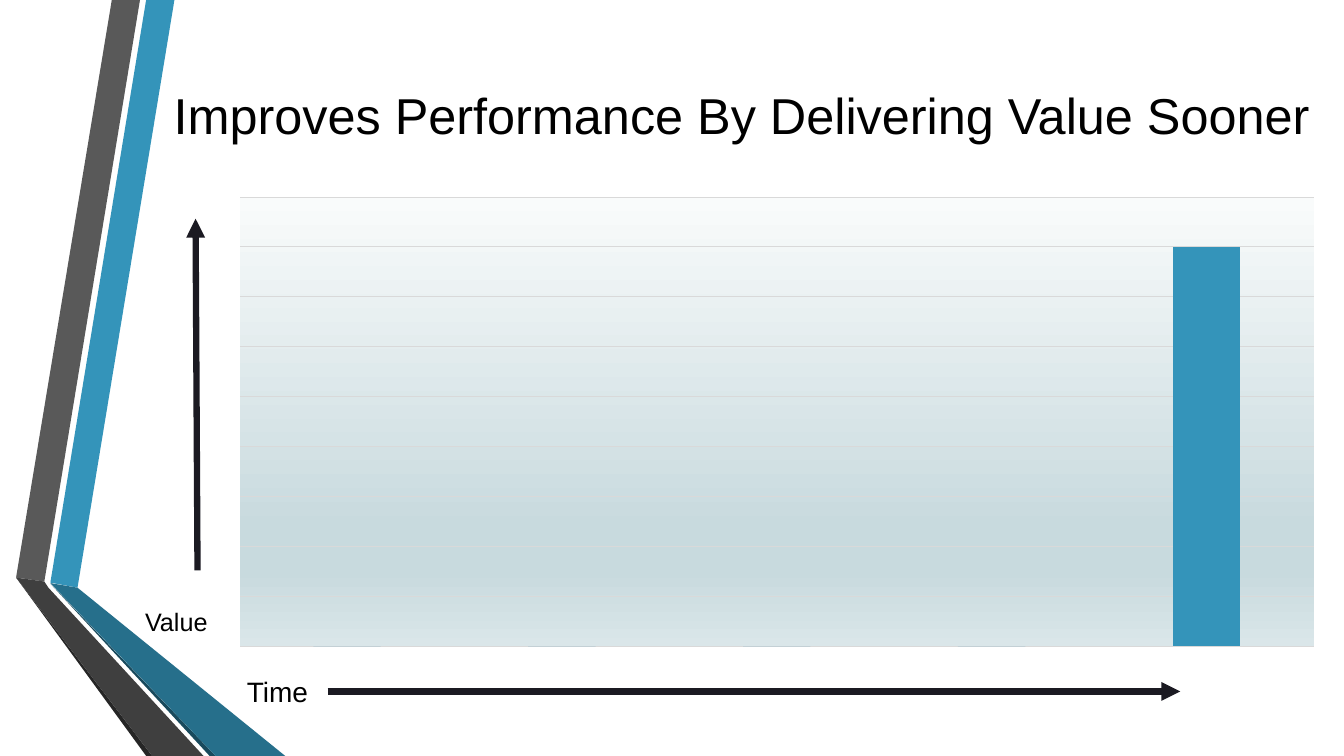
"""Build a slide showing value delivered over time as a column chart."""
from lxml import etree
from pptx import Presentation
from pptx import util as u
from pptx.chart import data
from pptx.dml.color import RGBColor
from pptx.enum import chart as charts, shapes, text
from pptx.oxml import parse_xml
from pptx.oxml.ns import nsdecls, qn

THEME = {
    "font": "Arial", "text": "000000", "accent": "3494BA", "arrow": "1B1A22", "grid": "D9D9D9",
    "plot": [(0, "F9FBFB"), (74, "C8DADE"), (83, "C8DADE"), (100, "DAE6E9")],
    "title_size": 36, "time_size": 20, "value_size": 18, "chart_size": 10,
}
SLIDE_SIZE = (960, 540)
TITLE = "Improves Performance By Delivering Value Sooner"
RIBBONS = [
    (THEME["accent"], [(36, 416.2), (55.4, 419.8), (124.6, 0), (104.4, 0)]),
    ("595959", [(100, 0), (79.9, 0), (11.5, 412.6), (31.7, 415.4)]),
    ("262626", [(11.5, 412.6), (104.4, 540), (108.7, 540)]),
    ("194A5D", [(36, 416.9), (149.8, 540), (154.1, 540)]),
    ("266F8B", [(36, 416.5), (154.1, 540), (203.8, 540), (55.4, 419.8)]),
    ("3F3F3F", [(145.4, 540), (34.6, 419.8), (31.7, 415.4), (11.5, 412.6), (108.7, 540)]),
]
VALUES = {"1": 0, "2": 0, "3": 0, "4": 0, "5": 100}
CHART_BOX = (149.8, 126.7, 789.1, 342.7)
PLOT_LAYOUT = {"x": 0.027, "y": 0.041, "w": 0.973, "h": 0.936}
GRID_STEP, GRID_ROWS = 12.5, 9
ARROWS = [(234, 493.9, 843.1, 493.9), (141.1, 407.5, 139.7, 156.2)]


def points(values):
    return [u.Pt(value) for value in values]


def color(name):
    return RGBColor.from_string(name)


def add_text(slide, content, box, size, align=text.PP_ALIGN.LEFT,
             anchor=text.MSO_ANCHOR.TOP, inset=3.6):
    frame = slide.shapes.add_textbox(*points(box)).text_frame
    frame.word_wrap = True
    frame.vertical_anchor = anchor
    frame.margin_top = frame.margin_bottom = u.Pt(inset)
    paragraph = frame.paragraphs[0]
    paragraph.alignment = align
    run = paragraph.add_run()
    run.text = content
    run.font.name = THEME["font"]
    run.font.size = u.Pt(size)
    run.font.color.rgb = color(THEME["text"])


def add_ribbon(slide, fill, outline):
    start, *rest = [points(corner) for corner in outline]
    builder = slide.shapes.build_freeform(*start)
    builder.add_line_segments(rest, close=True)
    shape = builder.convert_to_shape()
    shape.shadow.inherit = False
    shape.fill.solid()
    shape.fill.fore_color.rgb = color(fill)
    shape.line.fill.background()


def add_arrow(slide, ends):
    arrow = slide.shapes.add_connector(shapes.MSO_CONNECTOR.STRAIGHT, *points(ends))
    arrow.line.color.rgb = color(THEME["arrow"])
    arrow.line.width = u.Pt(4.5)
    etree.SubElement(arrow.line._get_or_add_ln(), qn("a:tailEnd"), type="triangle")
    etree.SubElement(arrow._element.spPr, qn("a:effectLst"))


def style_plot_area(chart):
    area = chart._chartSpace.chart.plotArea
    for old in area.findall(qn("c:layout")):
        area.remove(old)
    places = "".join(f'<c:{key} val="{value}"/>' for key, value in PLOT_LAYOUT.items())
    area.insert(0, parse_xml(
        f'<c:layout {nsdecls("c")}><c:manualLayout><c:layoutTarget val="inner"/>'
        f'<c:xMode val="edge"/><c:yMode val="edge"/>{places}</c:manualLayout></c:layout>'))
    stops = "".join(f'<a:gs pos="{stop * 1000}"><a:srgbClr val="{shade}"/></a:gs>'
                    for stop, shade in THEME["plot"])
    area.append(parse_xml(
        f'<c:spPr {nsdecls("c", "a")}><a:gradFill><a:gsLst>{stops}</a:gsLst>'
        '<a:lin ang="5400000" scaled="0"/></a:gradFill><a:ln><a:noFill/></a:ln></c:spPr>'))


def add_value_chart(slide):
    chart_data = data.CategoryChartData()
    chart_data.categories = list(VALUES)
    chart_data.add_series("Series 1", list(VALUES.values()))
    chart = slide.shapes.add_chart(
        charts.XL_CHART_TYPE.COLUMN_CLUSTERED, *points(CHART_BOX), chart_data).chart
    chart.has_legend = chart.has_title = False
    chart.font.name = THEME["font"]
    chart.font.size = u.Pt(THEME["chart_size"])
    chart.font.color.rgb = color(THEME["text"])
    plot = chart.plots[0]
    plot.gap_width, plot.overlap, plot.vary_by_categories = 219, -27, False
    fill = plot.series[0].format.fill
    fill.solid()
    fill.fore_color.rgb = color(THEME["accent"])
    chart.category_axis.visible = chart.value_axis.visible = False
    axis = chart.value_axis
    axis.minimum_scale, axis.maximum_scale = 0, GRID_STEP * GRID_ROWS
    axis.major_unit = GRID_STEP
    grid = axis.major_gridlines.format.line
    grid.color.rgb = color(THEME["grid"])
    grid.width = u.Pt(0.75)
    style_plot_area(chart)


def main():
    presentation = Presentation()
    presentation.slide_width, presentation.slide_height = points(SLIDE_SIZE)
    slide = presentation.slides.add_slide(presentation.slide_layouts[6])
    for fill, outline in RIBBONS:
        add_ribbon(slide, fill, outline)
    add_text(slide, TITLE, (110.9, 29.5, 838.1, 104.4), THEME["title_size"],
             align=text.PP_ALIGN.CENTER, anchor=text.MSO_ANCHOR.MIDDLE, inset=7.2)
    add_value_chart(slide)
    for ends in ARROWS:
        add_arrow(slide, ends)
    add_text(slide, "Time", (169.2, 478.1, 94.3, 31.7), THEME["time_size"])
    add_text(slide, "Value", (96.5, 429.8, 87.1, 28.8), THEME["value_size"])
    presentation.save("out.pptx")


if __name__ == "__main__":
    main()
